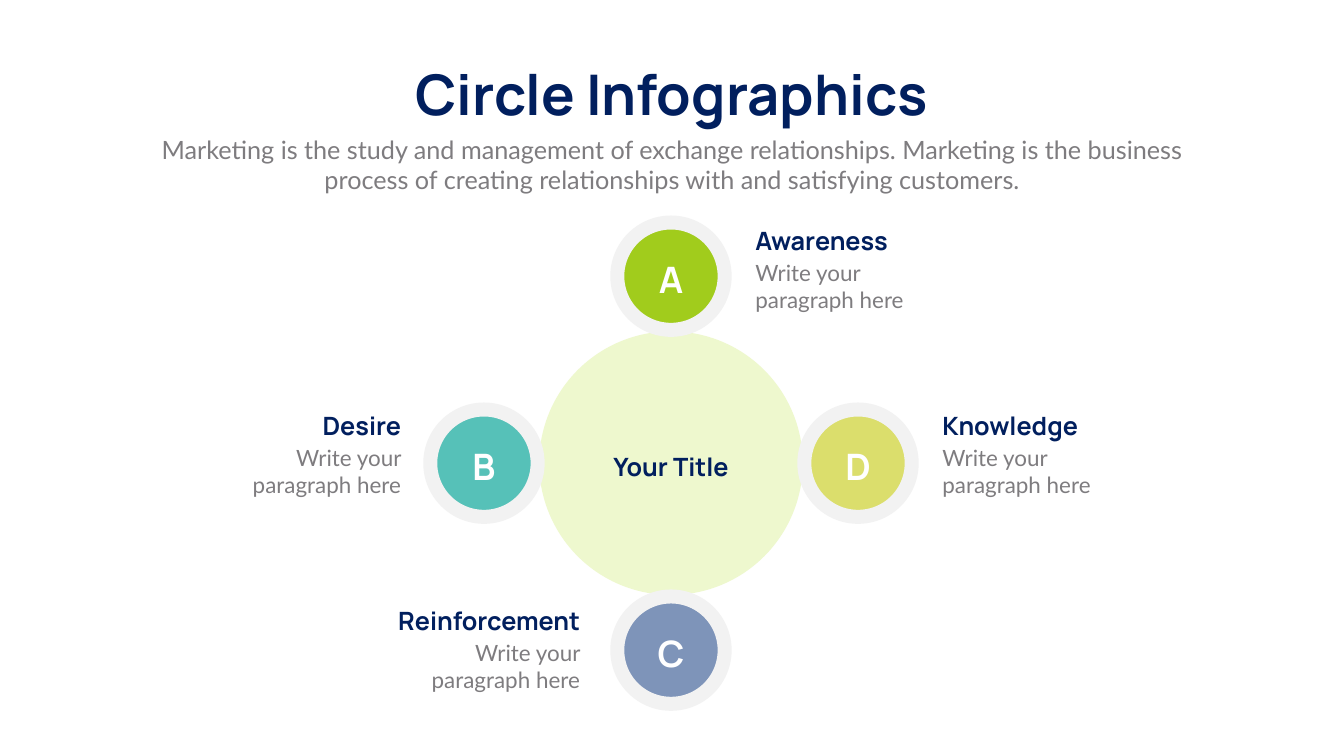
from pptx import Presentation
from pptx.dml.color import RGBColor
from pptx.enum.shapes import MSO_SHAPE
from pptx.enum.text import MSO_ANCHOR, MSO_AUTO_SIZE, PP_ALIGN
from pptx.util import Inches, Pt

OVAL = MSO_SHAPE.OVAL
TOP = MSO_ANCHOR.TOP
GROW = MSO_AUTO_SIZE.SHAPE_TO_FIT_TEXT
LEFT, CENTER, RIGHT = PP_ALIGN.LEFT, PP_ALIGN.CENTER, PP_ALIGN.RIGHT

TITLE = "Circle Infographics"
SUBTITLE = (
    "Marketing is the study and management of exchange relationships. "
    "Marketing is the business process of creating relationships with "
    "and satisfying customers."
)
HUB_TITLE = "Your Title"
BODY = "Write your paragraph here"

# direction: step from the hub; gap: badge to text; drop: badge top to heading
STEPS = [
    {"letter": "C", "heading": "Reinforcement", "color": "7E94B9", "direction": (0, 1),
     "align": RIGHT, "gap": 0.64, "drop": 0.13, "heading_width": 4.59},
    {"letter": "A", "heading": "Awareness", "color": "A1CC1C", "direction": (0, -1),
     "align": LEFT, "gap": 0.51, "drop": 0, "heading_width": 3.53},
    {"letter": "B", "heading": "Desire", "color": "56C1B8", "direction": (-1, 0),
     "align": RIGHT, "gap": 0.48, "drop": -0.04, "heading_width": 3.53},
    {"letter": "D", "heading": "Knowledge", "color": "DBDE6C", "direction": (1, 0),
     "align": LEFT, "gap": 0.51, "drop": -0.04, "heading_width": 3.53},
]

THEME = {
    "hub": "EEF8CE",
    "ring": "F2F2F2",
    "ring_width": 20,
    "title": {"name": "Manrope", "size": 80, "color": "011F5E", "bold": True},
    "heading": {"name": "Manrope", "size": 36, "color": "011F5E", "bold": True},
    "letter": {"name": "Manrope", "size": 52, "color": "FFFFFF", "bold": True},
    "subtitle": {"name": "Lato", "size": 36, "color": "7E7C7F", "bold": False},
    "body": {"name": "Lato", "size": 32, "color": "7E7C7F", "bold": False},
}

SLIDE_SIZE = (26.66, 15)
HUB_X, HUB_Y = 13.31, 9.19
HUB_SIZE = 5.23
BADGE_SIZE = 2.13
ORBIT = 3.71
LETTER_WIDTH, LETTER_HEIGHT = 0.79, 0.93
TEXT_WIDTH = 3.53
HEADING_HEIGHT, BODY_HEIGHT = 0.67, 1.12


def write_text(shape, text, style, align, wrap=True):
    frame = shape.text_frame
    frame.text = text
    for name, value in {"word_wrap": wrap, "auto_size": GROW, "vertical_anchor": TOP}.items():
        setattr(frame, name, value)
    paragraph = frame.paragraphs[0]
    paragraph.alignment = align
    font = paragraph.runs[0].font
    values = THEME[style]
    for name, value in {"name": values["name"], "size": Pt(values["size"]),
                        "bold": values["bold"]}.items():
        setattr(font, name, value)
    font.color.rgb = RGBColor.from_string(values["color"])


def add_text(slide, box, text, style, align):
    shape = slide.shapes.add_textbox(*map(Inches, box))
    write_text(shape, text, style, align)


def add_circle(slide, center_x, center_y, size, color, ringed=False):
    shape = slide.shapes.add_shape(
        OVAL, Inches(center_x - size / 2), Inches(center_y - size / 2), Inches(size), Inches(size))
    shape.shadow.inherit = False
    shape.fill.solid()
    shape.fill.fore_color.rgb = RGBColor.from_string(color)
    if ringed:
        shape.line.color.rgb = RGBColor.from_string(THEME["ring"])
        shape.line.width = Pt(THEME["ring_width"])
    else:
        shape.line.fill.background()


def add_step(slide, step):
    """Add a lettered badge with its heading and body beside it."""
    center_x = HUB_X + ORBIT * step["direction"][0]
    center_y = HUB_Y + ORBIT * step["direction"][1]
    add_circle(slide, center_x, center_y, BADGE_SIZE, step["color"], ringed=True)
    letter_box = (center_x - LETTER_WIDTH / 2, center_y - BADGE_SIZE / 2 + 0.64,
                  LETTER_WIDTH, LETTER_HEIGHT)
    add_text(slide, letter_box, step["letter"], "letter", CENTER)

    reach = BADGE_SIZE / 2 + step["gap"]
    top = center_y - BADGE_SIZE / 2 + step["drop"]
    rows = [
        (step["heading"], "heading", top, step["heading_width"], HEADING_HEIGHT),
        (BODY, "body", top + HEADING_HEIGHT, TEXT_WIDTH, BODY_HEIGHT),
    ]
    for text, style, row_top, width, height in rows:
        left = center_x + reach if step["align"] == LEFT else center_x - reach - width
        add_text(slide, (left, row_top, width, height), text, style, step["align"])


def main():
    presentation = Presentation()
    presentation.slide_width, presentation.slide_height = map(Inches, SLIDE_SIZE)
    slide = presentation.slides.add_slide(presentation.slide_layouts.get_by_name("Title Only"))

    title = slide.shapes.title
    title.left, title.top, title.width, title.height = map(Inches, (7.74, 1.14, 11.17, 1.45))
    write_text(title, TITLE, "title", CENTER, wrap=False)
    add_text(slide, (2.92, 2.61, 20.82, 1.31), SUBTITLE, "subtitle", CENTER)

    add_circle(slide, HUB_X, HUB_Y, HUB_SIZE, THEME["hub"])
    for step in STEPS:
        add_step(slide, step)
    hub_box = (HUB_X - TEXT_WIDTH / 2, 8.9, TEXT_WIDTH, HEADING_HEIGHT)
    add_text(slide, hub_box, HUB_TITLE, "heading", CENTER)

    presentation.save("out.pptx")


if __name__ == "__main__":
    main()
